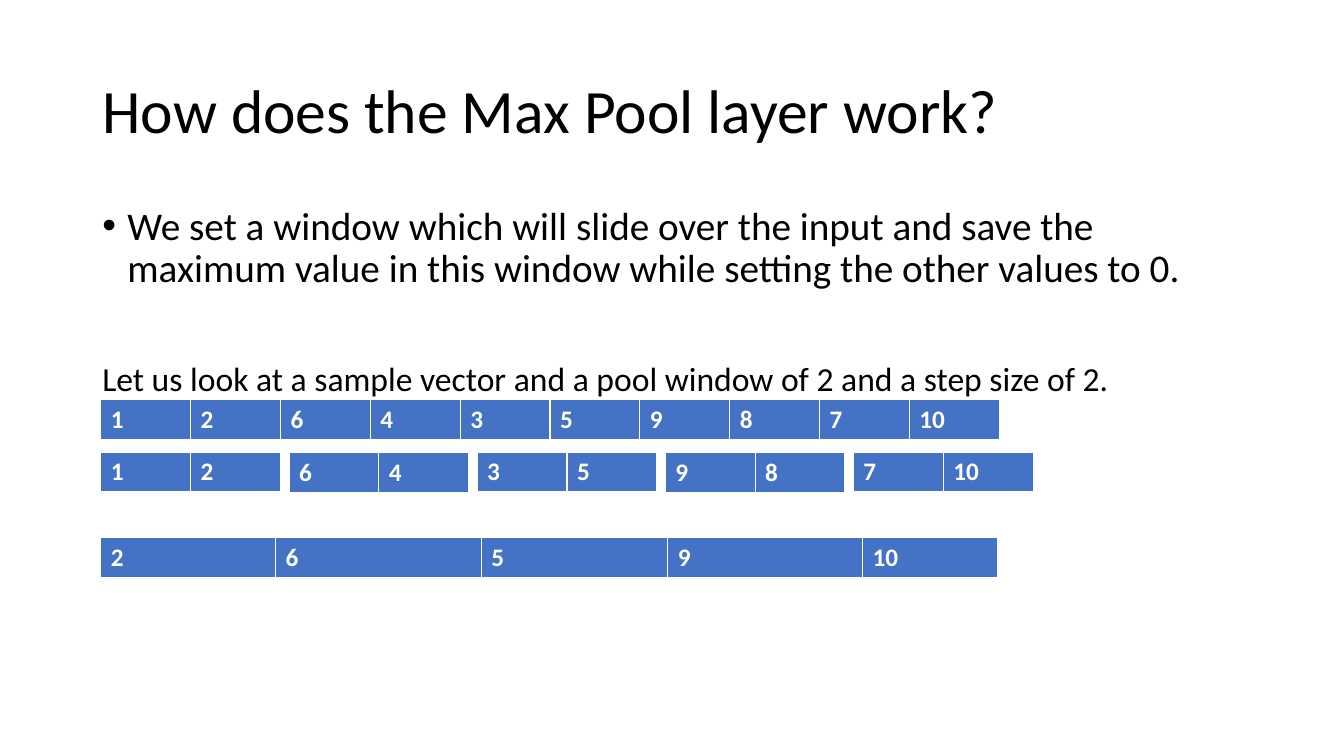
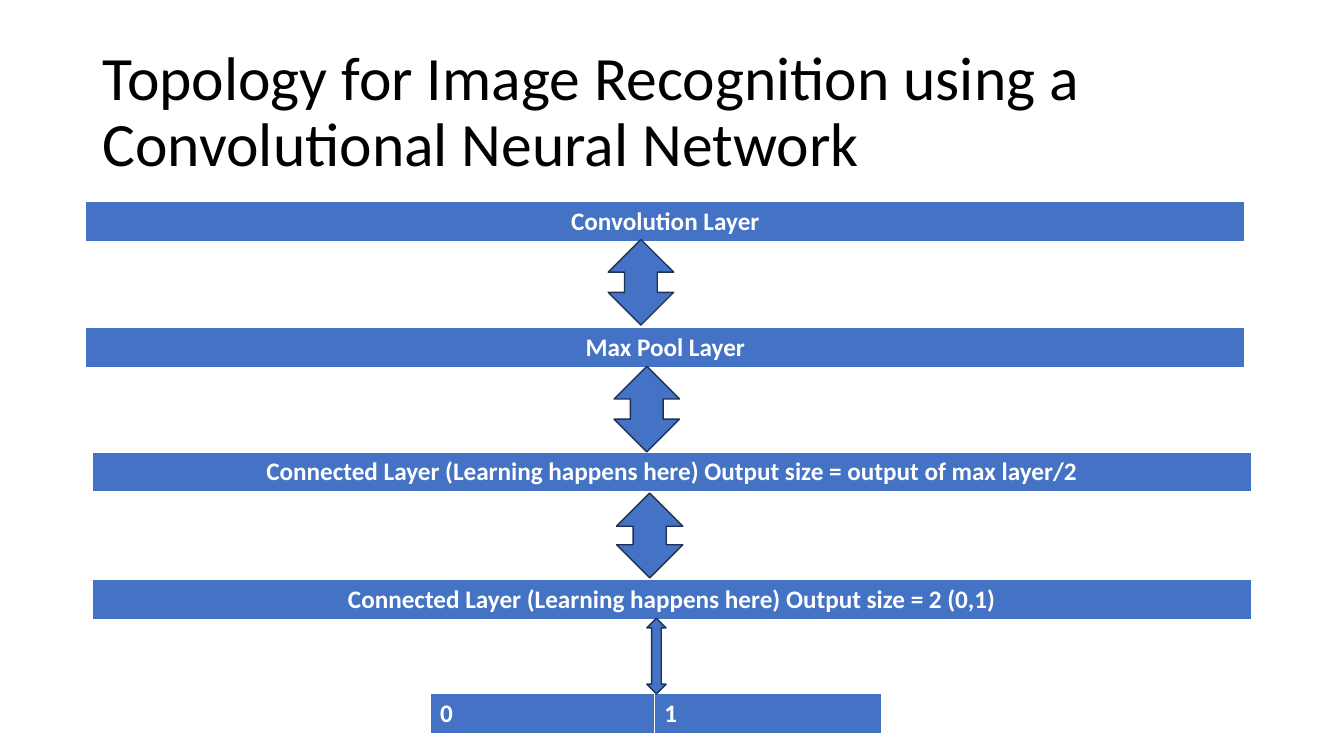
"""Build two slides on max pooling and the topology of a convolutional network."""
from lxml.etree import SubElement
from pptx import Presentation
from pptx.dml.color import RGBColor
from pptx.enum.shapes import MSO_SHAPE
from pptx.enum.text import MSO_ANCHOR, MSO_AUTO_SIZE, PP_ALIGN
from pptx.oxml.ns import qn
from pptx.util import Inches, Pt

BLACK = RGBColor.from_string("000000")
WHITE = RGBColor.from_string("FFFFFF")
THEME = {
    "fill": RGBColor.from_string("4472C4"),
    "outline": RGBColor.from_string("1E3256"),
    "borders": {"a:lnL": 1, "a:lnR": 1, "a:lnT": 1, "a:lnB": 3},
    "frame": {"word_wrap": True, "auto_size": MSO_AUTO_SIZE.NONE},
    "font": {
        "title": {"name": "Calibri", "size": Pt(44), "bold": False},
        "bullet": {"name": "Calibri", "size": Pt(28), "bold": False},
        "caption": {"name": "Calibri", "size": Pt(24), "bold": False},
        "cell": {"name": "Calibri", "size": Pt(18), "bold": True},
        "layer": {"name": "Calibri", "size": Pt(18), "bold": True},
    },
    "color": {"title": BLACK, "bullet": BLACK, "caption": BLACK, "cell": WHITE, "layer": WHITE},
    "paragraph": {
        "title": {"alignment": PP_ALIGN.LEFT, "line_spacing": 0.9},
        "bullet": {"alignment": PP_ALIGN.LEFT, "line_spacing": 0.9, "space_before": Pt(10)},
        "caption": {"alignment": PP_ALIGN.LEFT, "line_spacing": 0.9, "space_before": Pt(51)},
        "cell": {"alignment": PP_ALIGN.LEFT},
        "layer": {"alignment": PP_ALIGN.CENTER},
    },
}
COLUMNS, ROWS = 160, 90
MARGIN, CONTENT_WIDTH = 11, 138
STRIP_HEIGHT = 4.9
VALUE_WIDTH = 10.7
WINDOW = 2

deck = Presentation()
deck.slide_width, deck.slide_height = Inches(40 / 3), Inches(7.5)
text_roles = []


def grid(left, top, width, height):
    """Turn grid columns and rows into slide lengths."""
    column, row = deck.slide_width / COLUMNS, deck.slide_height / ROWS
    return round(left * column), round(top * row), round(width * column), round(height * row)


def add_strip(slide, left, top, widths, labels, role="cell"):
    """Add a one-row table with white borders."""
    box = grid(left, top, sum(widths), STRIP_HEIGHT)
    strip = slide.shapes.add_table(1, len(labels), *box).table
    for index, (width, label) in enumerate(zip(widths, labels)):
        strip.columns[index].width = grid(0, 0, width, 0)[2]
        cell = strip.cell(0, index)
        cell.text = str(label)
        properties = cell._tc.get_or_add_tcPr()
        for side, weight in THEME["borders"].items():
            border = SubElement(properties, qn(side), w=str(Pt(weight)))
            paint = SubElement(border, qn("a:solidFill"))
            SubElement(paint, qn("a:srgbClr"), val=str(WHITE))
        cell.fill.solid()
        cell.fill.fore_color.rgb = THEME["fill"]
        text_roles.append((cell.text_frame.paragraphs[0], role))


slides = []
for heading in (
    "How does the Max Pool layer work?",
    "Topology for Image Recognition using a Convolutional Neural Network",
):
    slide = deck.slides.add_slide(deck.slide_layouts[5])
    title = slide.shapes.title
    title.left, title.top, title.width, title.height = grid(MARGIN, 4.8, CONTENT_WIDTH, 17.4)
    title.text_frame.text = heading
    title.text_frame.vertical_anchor = MSO_ANCHOR.MIDDLE
    for name, value in THEME["frame"].items():
        setattr(title.text_frame, name, value)
    text_roles.append((title.text_frame.paragraphs[0], "title"))
    slides.append(slide)
pooling, topology = slides

explanation = pooling.shapes.add_textbox(*grid(MARGIN, 24, CONTENT_WIDTH, 23.6)).text_frame
for name, value in THEME["frame"].items():
    setattr(explanation, name, value)
explanation.text = (
    "We set a window which will slide over the input and save the "
    "maximum value in this window while setting the other values to 0."
)
sample_intro = explanation.add_paragraph()
sample_intro.text = "Let us look at a sample vector and a pool window of 2 and a step size of 2."
text_roles += [(explanation.paragraphs[0], "bullet"), (sample_intro, "caption")]

vector = [1, 2, 6, 4, 3, 5, 9, 8, 7, 10]
windows = [vector[start:start + WINDOW] for start in range(0, len(vector), WINDOW)]
add_strip(pooling, 12, 47.6, [VALUE_WIDTH] * len(vector), vector)
for index, window in enumerate(windows):
    add_strip(pooling, 12 + 22.4 * index, 53.8 + 0.1 * (index % 2), [VALUE_WIDTH] * WINDOW, window)
add_strip(pooling, 12, 64, [20.8, 24.5, 22.2, 23.2, 16.1], [max(window) for window in windows])

for left, top, layer in (
    (10.2, 24, "Convolution Layer"),
    (10.2, 39, "Max Pool Layer"),
    (MARGIN, 53.8, "Connected Layer (Learning happens here) Output size = output of max layer/2"),
    (MARGIN, 69, "Connected Layer (Learning happens here) Output size = 2 (0,1)"),
):
    add_strip(topology, left, top, [CONTENT_WIDTH], [layer], "layer")
add_strip(topology, 51.2, 82.6, [26.7, 27], [0, 1])

for exchange_box in (
    (72.4, 28.5, 7.8, 10.2),
    (73.1, 43.6, 7.8, 10.2),
    (73.4, 58.7, 7.9, 10.1),
    (77, 73.6, 2.3, 9),
):
    exchange = topology.shapes.add_shape(MSO_SHAPE.UP_DOWN_ARROW, *grid(*exchange_box))
    exchange.shadow.inherit = False
    exchange.fill.solid()
    exchange.fill.fore_color.rgb = THEME["fill"]
    exchange.line.color.rgb = THEME["outline"]
    exchange.line.width = Pt(1)

for paragraph, role in text_roles:
    for name, value in THEME["paragraph"][role].items():
        setattr(paragraph, name, value)
    for run in paragraph.runs:
        for name, value in THEME["font"][role].items():
            setattr(run.font, name, value)
        run.font.color.rgb = THEME["color"][role]
    if role == "bullet":
        properties = paragraph._p.get_or_add_pPr()
        properties.set("marL", str(Inches(0.25)))
        properties.set("indent", str(-Inches(0.25)))
        SubElement(properties, qn("a:buFont"), typeface="Arial")
        SubElement(properties, qn("a:buChar"), char="•")

deck.save("out.pptx")
